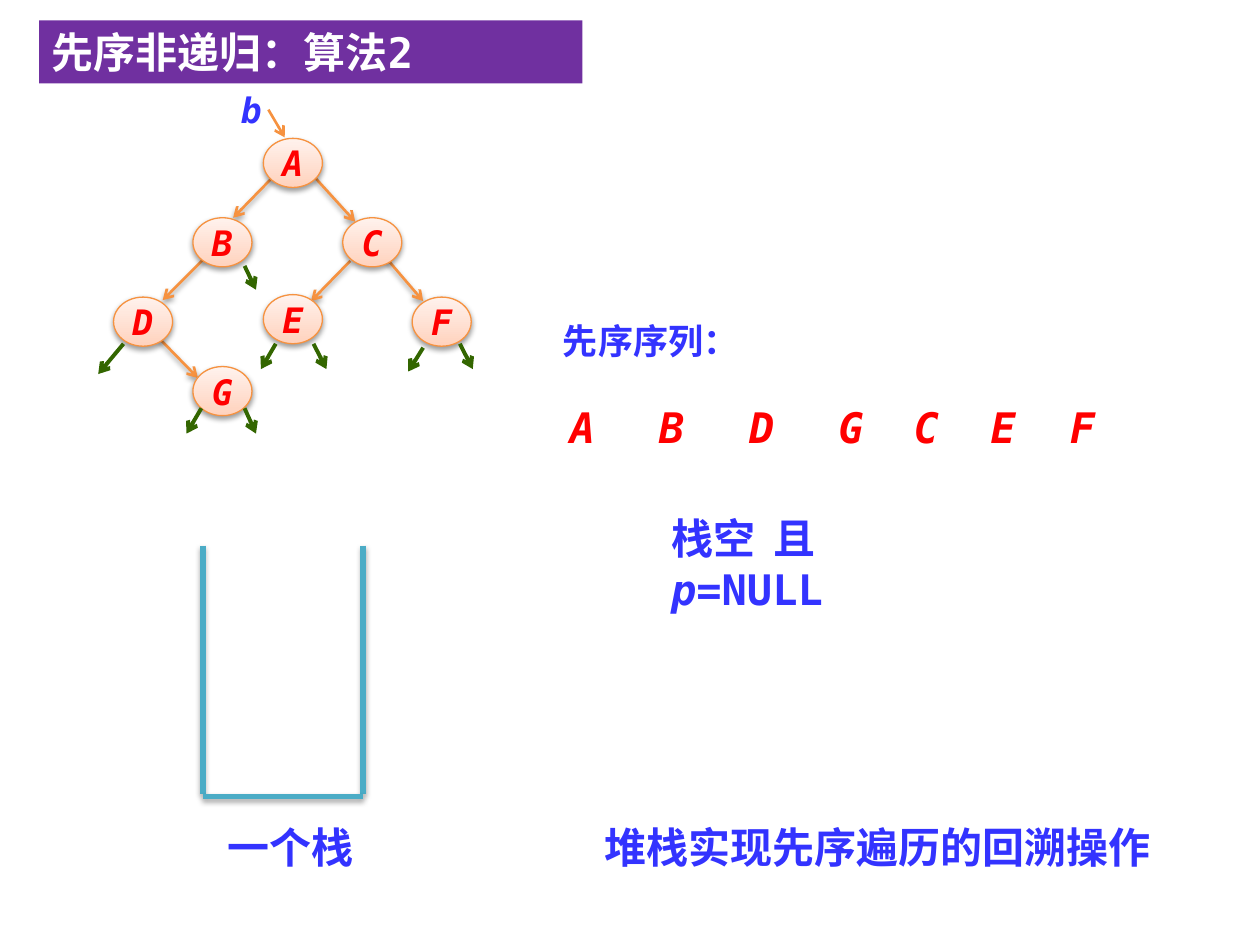
from dataclasses import dataclass

import lxml.etree
import pptx
import pptx.dml.color
import pptx.enum.shapes
import pptx.enum.text
import pptx.oxml.ns
import pptx.util

Cm = pptx.util.Cm
Pt = pptx.util.Pt
RGB = pptx.dml.color.RGBColor.from_string
qn = pptx.oxml.ns.qn
PP_ALIGN = pptx.enum.text.PP_ALIGN
ANCHOR = pptx.enum.text.MSO_ANCHOR


@dataclass(frozen=True)
class Theme:
    banner: str = "7030A0"
    white: str = "FFFFFF"
    blue: str = "3333FF"
    red: str = "FF0000"
    orange: str = "F69240"
    green: str = "336600"
    teal: str = "4BACC6"
    node_low: str = "FFD2BD"
    node_high: str = "FFF2ED"
    mono: str = "DejaVu Sans Mono"
    cjk: str = "Noto Sans CJK SC"
    large: int = 24
    small: int = 20


THEME = Theme()


@dataclass(frozen=True)
class Node:
    name: str
    left: float
    top: float


@dataclass(frozen=True)
class Segment:
    x1: float
    y1: float
    x2: float
    y2: float


@dataclass(frozen=True)
class LineStyle:
    color: str
    width: float
    arrow: bool = True
    shadow: int = 0  # opacity in percent


@dataclass(frozen=True)
class Label:
    text: str
    left: float
    top: float
    width: float
    height: float
    size: int = THEME.large
    color: str = THEME.blue
    font: str = THEME.mono
    italic: bool = False
    tight: bool = False  # centred, without insets


NODE_W, NODE_H = 1.19, 0.99
NODES = [Node("A", 5.31, 2.79), Node("B", 3.89, 4.39), Node("C", 6.91, 4.39),
         Node("D", 2.29, 5.99), Node("E", 5.31, 5.94), Node("F", 8.31, 5.99),
         Node("G", 3.89, 7.39)]
EDGES = [Segment(5.49, 3.58, 4.7, 4.39), Segment(6.35, 3.58, 7.16, 4.47),
         Segment(4.17, 5.16, 3.28, 6.05), Segment(7.06, 5.26, 6.27, 6.07),
         Segment(7.75, 5.16, 8.53, 6.07), Segment(3.2, 6.81, 3.99, 7.62)]
NULL_LINKS = [Segment(4.93, 5.36, 5.16, 5.84), Segment(2.49, 6.93, 1.98, 7.54),
              Segment(5.56, 6.93, 5.26, 7.44), Segment(6.32, 6.93, 6.58, 7.44),
              Segment(8.53, 7.01, 8.23, 7.49), Segment(9.27, 6.93, 9.53, 7.44),
              Segment(4.06, 8.23, 3.76, 8.74), Segment(4.93, 8.23, 5.16, 8.74)]
ROOT_LINK = Segment(5.41, 2.21, 5.74, 2.77)
STACK_WALLS = [Segment(4.09, 11, 4.09, 16), Segment(7.32, 11, 7.32, 16),
               Segment(4.09, 16.05, 7.32, 16.05)]
PREORDER = {"A": 11.15, "B": 12.95, "D": 14.76, "G": 16.56,
            "C": 18.08, "E": 19.63, "F": 21.23}
LABELS = [
    Label("b", 4.57, 1.78, 0.99, 0.86, THEME.small, italic=True, tight=True),
    Label("先序序列：", 11.1, 6.32, 4.8, 1.12, THEME.small),
    Label("一个栈", 4.34, 16.43, 3.2, 1.27, font=THEME.cjk),
    Label("堆栈实现先序遍历的回溯操作", 11.94, 16.43, 11.96, 1.27, font=THEME.cjk),
]


def set_shadow(sp, opacity: int) -> None:
    effects = lxml.etree.SubElement(sp._element.spPr, qn("a:effectLst"))
    if opacity:
        outer = lxml.etree.SubElement(effects, qn("a:outerShdw"), blurRad=str(Pt(3.1)),
                                      dist=str(Pt(1.7)), dir="5400000", rotWithShape="0")
        color = lxml.etree.SubElement(outer, qn("a:srgbClr"), val="000000")
        lxml.etree.SubElement(color, qn("a:alpha"), val=str(opacity * 1000))


def add_run(p, text: str, size: int, color: str, font: str = THEME.mono,
            italic: bool = False):
    r = p.add_run()
    r.text = text
    r.font.size = Pt(size)
    r.font.bold = True
    r.font.italic = italic
    r.font.color.rgb = RGB(color)
    r.font.name = font
    lxml.etree.SubElement(r._r.get_or_add_rPr(), qn("a:ea"), typeface=THEME.cjk)
    return r


def draw_line(slide, seg: Segment, style: LineStyle) -> None:
    sp = slide.shapes.add_connector(pptx.enum.shapes.MSO_CONNECTOR.STRAIGHT,
                                    Cm(seg.x1), Cm(seg.y1), Cm(seg.x2), Cm(seg.y2))
    sp.line.color.rgb = RGB(style.color)
    sp.line.width = Pt(style.width)
    if style.arrow:
        lxml.etree.SubElement(sp.line._get_or_add_ln(), qn("a:tailEnd"), type="arrow")
    set_shadow(sp, style.shadow)


def draw_node(slide, node: Node) -> None:
    sp = slide.shapes.add_shape(pptx.enum.shapes.MSO_SHAPE.OVAL, Cm(node.left),
                                Cm(node.top), Cm(NODE_W), Cm(NODE_H))
    sp.fill.gradient()
    sp.fill.gradient_angle = 90
    for stop, color in zip(sp.fill.gradient_stops, (THEME.node_low, THEME.node_high)):
        stop.color.rgb = RGB(color)
    sp.line.color.rgb = RGB(THEME.orange)
    sp.line.width = Pt(0.75)
    set_shadow(sp, 38)
    tf = sp.text_frame
    tf.word_wrap = False
    tf.vertical_anchor = ANCHOR.MIDDLE
    p = tf.paragraphs[0]
    p.alignment = PP_ALIGN.CENTER
    add_run(p, node.name, THEME.small, THEME.red, italic=True)


def add_box(slide, left: float, top: float, width: float, height: float):
    sp = slide.shapes.add_textbox(Cm(left), Cm(top), Cm(width), Cm(height))
    sp.text_frame.word_wrap = True
    return sp.text_frame


def draw_label(slide, label: Label) -> None:
    tf = add_box(slide, label.left, label.top, label.width, label.height)
    p = tf.paragraphs[0]
    if label.tight:
        tf.margin_left = tf.margin_right = tf.margin_top = tf.margin_bottom = 0
        p.alignment = PP_ALIGN.CENTER
    add_run(p, label.text, label.size, label.color, label.font, label.italic)


def draw_title(slide) -> None:
    sp = slide.shapes.title
    sp.left, sp.top, sp.width, sp.height = Cm(0.79), Cm(0.41), Cm(10.95), Cm(1.27)
    sp.fill.solid()
    sp.fill.fore_color.rgb = RGB(THEME.banner)
    tf = sp.text_frame
    tf.vertical_anchor = ANCHOR.TOP
    tf.auto_size = pptx.enum.text.MSO_AUTO_SIZE.NONE
    p = tf.paragraphs[0]
    p.alignment = PP_ALIGN.LEFT
    add_run(p, "先序非递归：算法2", THEME.large, THEME.white)


def draw_end_condition(slide) -> None:
    p = add_box(slide, 13.28, 10.21, 5.2, 2.31).paragraphs[0]
    add_run(p, "栈空", THEME.large, THEME.blue)
    gap = add_run(p, " ", THEME.large, THEME.blue)
    gap._r.get_or_add_rPr().set("spc", "500")
    add_run(p, "且 ", THEME.large, THEME.blue)
    add_run(p, "p", THEME.large, THEME.blue, italic=True)
    add_run(p, "=NULL", THEME.large, THEME.blue)


def main() -> None:
    prs = pptx.Presentation()
    prs.slide_width, prs.slide_height = Cm(25.4), Cm(19.05)
    slide = prs.slides.add_slide(prs.slide_layouts[5])
    draw_title(slide)

    # Binary tree: edges below the nodes, null links above
    for edge in EDGES:
        draw_line(slide, edge, LineStyle(THEME.orange, 1.5, shadow=38))
    for node in NODES:
        draw_node(slide, node)
    for link in NULL_LINKS:
        draw_line(slide, link, LineStyle(THEME.green, 2.25))
    draw_line(slide, ROOT_LINK, LineStyle(THEME.orange, 1.5))

    # Empty stack
    for wall in STACK_WALLS:
        draw_line(slide, wall, LineStyle(THEME.teal, 3, arrow=False, shadow=35))

    # Preorder sequence and captions
    for name, left in PREORDER.items():
        draw_label(slide, Label(name, left, 8.1, NODE_W, 1.02, color=THEME.red,
                                italic=True, tight=True))
    for label in LABELS:
        draw_label(slide, label)
    draw_end_condition(slide)
    prs.save("out.pptx")


if __name__ == "__main__":
    main()
